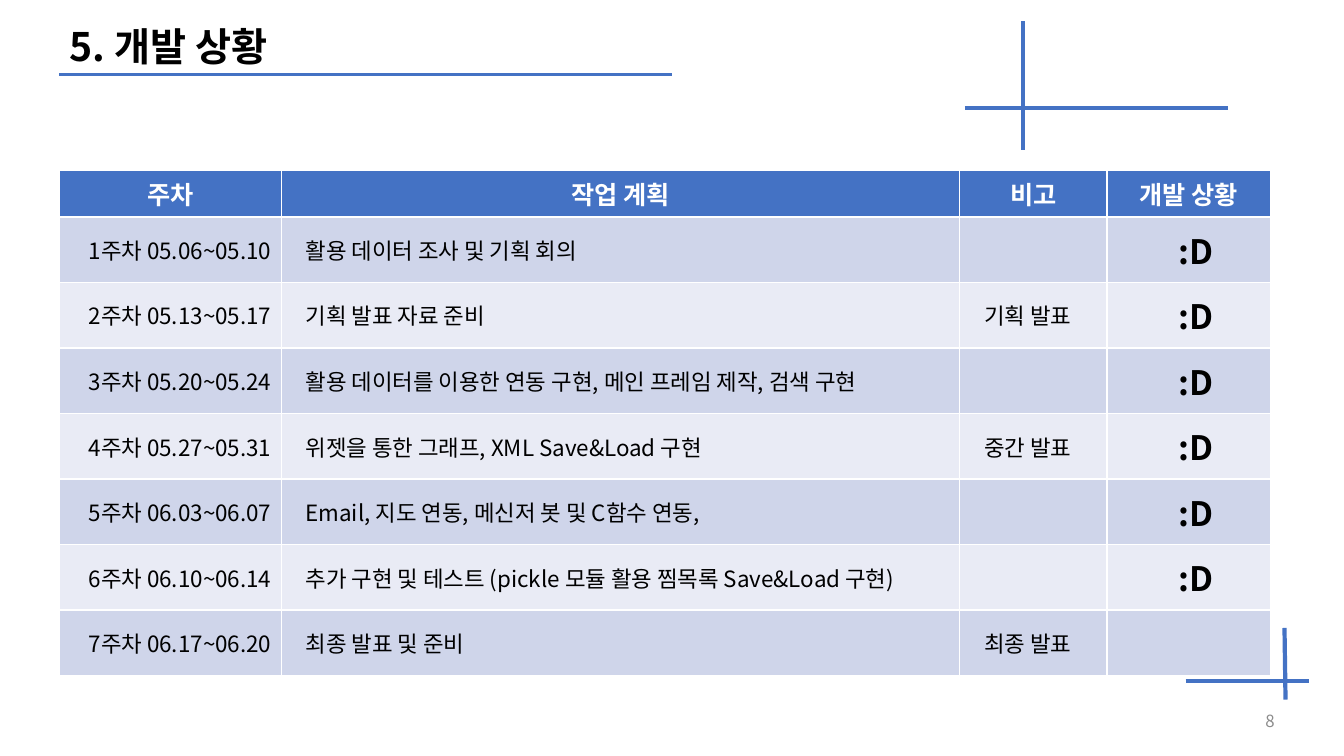
from lxml import etree
from pptx import Presentation, util as u
from pptx.dml.color import RGBColor
from pptx.enum import shapes, text
from pptx.oxml.ns import qn

PX = 9144  # 100 px to the inch
FONT = "Noto Sans CJK KR"
COLORS = {"blue": "4472C4", "dark_band": "CFD5EA", "light_band": "E9EBF5",
          "white": "FFFFFF", "black": "000000", "grey": "8C8C8C"}
LEFT, CENTER, RIGHT = text.PP_ALIGN.LEFT, text.PP_ALIGN.CENTER, text.PP_ALIGN.RIGHT


def rgb(name):
    return RGBColor.from_string(COLORS[name])


def write(tf, content, size, color, align, bold=False):
    """Put one formatted run into the first paragraph, for Latin and Korean glyphs."""
    p = tf.paragraphs[0]
    p.alignment = align
    r = p.add_run()
    r.text = content
    for key, value in {"name": FONT, "size": u.Pt(size), "bold": bold}.items():
        setattr(r.font, key, value)
    r.font.color.rgb = rgb(color)
    etree.SubElement(r.font._element, qn("a:ea"), typeface=FONT)


prs = Presentation()
prs.slide_width, prs.slide_height = 1333 * PX, 750 * PX
s = prs.slides.add_slide(prs.slide_layouts[5])

# Decorative lines: x1, y1, x2, y2, width in points
for *ends, width in [(59, 74, 667, 74, 2),
                     (957, 107, 1218, 107, 3), (1015, 21, 1015, 149, 3),
                     (1176, 676, 1298, 676, 3), (1274, 623, 1275, 694, 3)]:
    line = s.shapes.add_connector(shapes.MSO_CONNECTOR.STRAIGHT, *(v * PX for v in ends))
    line.line.color.rgb = rgb("blue")
    line.line.width = u.Pt(width)
    etree.SubElement(line._element.spPr, qn("a:effectLst"))

# Title
title = s.shapes.title
for key, value in {"left": 59, "top": 21, "width": 906, "height": 54}.items():
    setattr(title, key, value * PX)
tf = title.text_frame
tf.auto_size = text.MSO_AUTO_SIZE.NONE
tf.vertical_anchor = text.MSO_ANCHOR.MIDDLE
write(tf, "5. 개발 상황", 28, "black", LEFT, True)
tf.paragraphs[0].line_spacing = 0.9

# Schedule
headers = ["주차", "작업 계획", "비고", "개발 상황"]
weeks = [
    ("05.06~05.10", "활용 데이터 조사 및 기획 회의", "", ":D"),
    ("05.13~05.17", "기획 발표 자료 준비", "기획 발표", ":D"),
    ("05.20~05.24", "활용 데이터를 이용한 연동 구현, 메인 프레임 제작, 검색 구현", "", ":D"),
    ("05.27~05.31", "위젯을 통한 그래프, XML Save&Load 구현", "중간 발표", ":D"),
    ("06.03~06.07", "Email, 지도 연동, 메신저 봇 및 C함수 연동,", "", ":D"),
    ("06.10~06.14", "추가 구현 및 테스트 (pickle 모듈 활용 찜목록 Save&Load 구현)", "", ":D"),
    ("06.17~06.20", "최종 발표 및 준비", "최종 발표", ""),
]
rows = [headers] + [(f"{n}주차 {dates}", *rest) for n, (dates, *rest) in enumerate(weeks, 1)]
col_widths = [220, 673, 146, 162]
row_heights = [42] + [65] * len(weeks)
# Size, alignment and bold of each body column
formats = [(16, RIGHT, False), (16, LEFT, False), (16, LEFT, False), (24, CENTER, True)]

frame = s.shapes.add_table(len(rows), len(headers), 59 * PX, 169 * PX,
                           sum(col_widths) * PX, sum(row_heights) * PX)
table = frame.table
for column, width in zip(table.columns, col_widths):
    column.width = width * PX
for row, height in zip(table.rows, row_heights):
    row.height = height * PX

for i, row in enumerate(rows):
    band = "blue" if i == 0 else "dark_band" if i % 2 else "light_band"
    for j, content in enumerate(row):
        cell = table.cell(i, j)
        cell.fill.solid()
        cell.fill.fore_color.rgb = rgb(band)
        cell.vertical_anchor = text.MSO_ANCHOR.MIDDLE
        if i and j:
            cell.margin_left = 24 * PX
        if content:
            size, align, bold = formats[j] if i else (18, CENTER, True)
            write(cell.text_frame, content, size, "black" if i else "white", align, bold)

# Page number
tf = s.shapes.add_textbox(957 * PX, 695 * PX, 317 * PX, 40 * PX).text_frame
tf.word_wrap = True
tf.vertical_anchor = text.MSO_ANCHOR.MIDDLE
write(tf, "8", 12, "grey", RIGHT)

prs.save("out.pptx")
